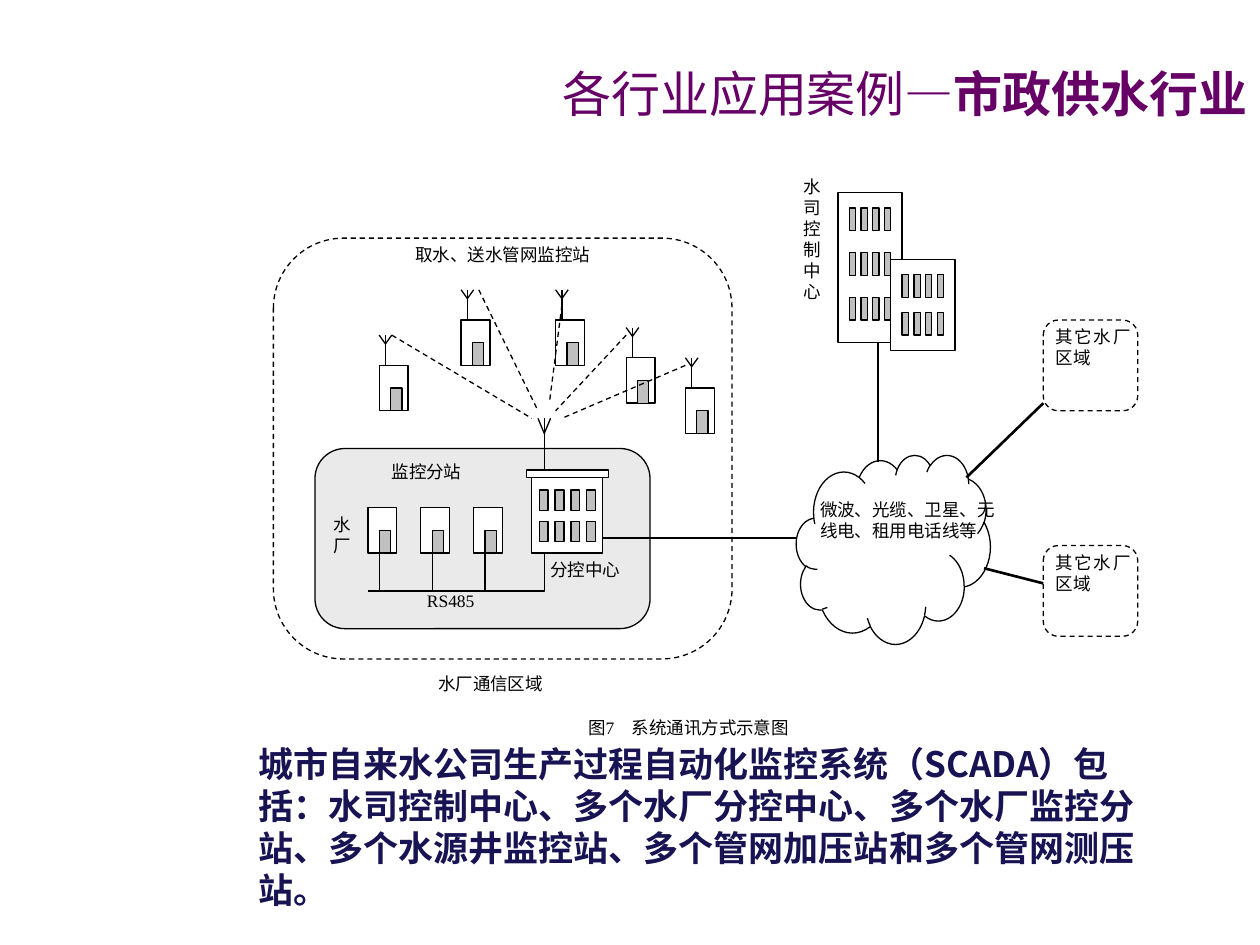
from dataclasses import dataclass
from itertools import product

from lxml.etree import SubElement
from pptx import Presentation
from pptx.dml.color import RGBColor
from pptx.enum.dml import MSO_LINE
from pptx.enum.shapes import MSO_CONNECTOR, MSO_SHAPE
from pptx.enum.text import MSO_ANCHOR, MSO_AUTO_SIZE, PP_ALIGN
from pptx.oxml.ns import qn
from pptx.util import Inches, Pt


@dataclass(frozen=True)
class Theme:
    title: str = "660066"
    body: str = "181353"
    ink: str = "000000"
    paper: str = "FFFFFF"
    zone: str = "EAEAEA"
    glass: str = "C0C0C0"
    head_font: str = "Karla"
    bold_font: str = "Noto Sans CJK SC"
    font: str = "Times New Roman"
    head_size: float = 28
    body_size: float = 20
    size: float = 10
    thin: float = 0.75
    thick: float = 1.5


THEME = Theme()


def write(para, text, font=THEME.font, size=THEME.size, color=THEME.ink,
          bold=False, align=None, pitch=None):
    """Add one run of text to a paragraph."""
    run = para.add_run()
    run.text = text
    run.font.size = Pt(size)
    run.font.bold = bold
    run.font.color.rgb = RGBColor.from_string(color)
    run.font.name = font
    if bold:
        SubElement(run.font._element, qn("a:ea")).set("typeface", font)
    if align is not None:
        para.alignment = align
    if pitch:
        para.line_spacing = Pt(pitch)


def label(slide, x, y, w, h, text, anchor=MSO_ANCHOR.TOP, **form):
    box = slide.shapes.add_textbox(Inches(x), Inches(y), Inches(w), Inches(h))
    frame = box.text_frame
    frame.word_wrap = True
    frame.vertical_anchor = anchor
    write(frame.paragraphs[0], text, **{"align": PP_ALIGN.JUSTIFY, **form})


def stroke(line, width=THEME.thin, dash=False):
    line.color.rgb = RGBColor.from_string(THEME.ink)
    line.width = Pt(width)
    if dash:
        line.dash_style = MSO_LINE.DASH


def block(slide, x, y, w, h, fill=THEME.paper, kind=MSO_SHAPE.RECTANGLE, dash=False):
    shape = slide.shapes.add_shape(kind, Inches(x), Inches(y), Inches(w), Inches(h))
    shape.shadow.inherit = False
    if fill:
        shape.fill.solid()
        shape.fill.fore_color.rgb = RGBColor.from_string(fill)
    else:
        shape.fill.background()
    stroke(shape.line, dash=dash)


def link(slide, x1, y1, x2, y2, **form):
    line = slide.shapes.add_connector(
        MSO_CONNECTOR.STRAIGHT, Inches(x1), Inches(y1), Inches(x2), Inches(y2))
    SubElement(line._element.spPr, qn("a:effectLst"))
    stroke(line.line, **form)


def trace(slide, *points):
    """Draw an open outline through the points."""
    start, *rest = [(Inches(x), Inches(y)) for x, y in points]
    pen = slide.shapes.build_freeform(*start)
    pen.add_line_segments(rest, close=False)
    shape = pen.convert_to_shape()
    shape.shadow.inherit = False
    shape.fill.background()
    stroke(shape.line)


def mast(slide, x, y, foot, fork):
    """Aerial centred on x, from its top y down to its foot."""
    link(slide, x, y, x, foot)
    trace(slide, (x - 0.05, y), (x, y + fork), (x + 0.05, y))


def panes(slide, x, y, rows, dx, dy, w, h):
    for row, col in product(range(rows), range(4)):
        block(slide, x + col * dx, y + row * dy, w, h, THEME.glass)


def house(slide, x, y):
    block(slide, x, y, 0.23, 0.36)
    block(slide, x + 0.09, y + 0.18, 0.09, 0.18, THEME.glass)


def tower(slide, x, y, w, h, rows, dy):
    block(slide, x, y, w, h)
    panes(slide, x + 0.09, y + 0.12, rows, 0.093, dy, 0.05, 0.18)


def plant(slide, x, y, w, h):
    """Waterworks: substations wired to the branch control centre."""
    block(slide, x, y, w, h, THEME.zone, MSO_SHAPE.ROUNDED_RECTANGLE)
    # Control centre
    left, top, base, bus = x + 1.72, y + 0.23, y + 0.83, y + 1.13
    block(slide, left, top, 0.56, 0.6)
    panes(slide, left + 0.06, top + 0.1, 2, 0.126, 0.25, 0.07, 0.16)
    block(slide, left - 0.04, top - 0.06, 0.65, 0.06)
    mast(slide, left + 0.1, y - 0.24, top - 0.06, 0.12)
    # Substations on the bus
    trace(slide, (left + 0.1, base), (left + 0.1, bus), (x + 0.42, bus))
    for i in range(3):
        spot = x + 0.42 + 0.42 * i
        house(slide, spot, y + 0.47)
        link(slide, spot + 0.09, base, spot + 0.09, bus)
    # Names
    label(slide, x + 0.79, y + 1.07, 0.75, 0.36, "RS485")
    label(slide, x + 0.05, y + 0.47, 0.37, 0.78, "水厂", align=PP_ALIGN.LEFT)
    label(slide, x + 0.51, y + 0.05, 1.03, 0.42, "监控分站")
    label(slide, x + 1.77, y + 0.83, 0.89, 0.36, "分控中心")


def region(slide, x, y, w, h):
    """Radio area of one waterworks with its pipe network stations."""
    plant(slide, x + 0.33, y + 1.67, 2.66, 1.43)
    for dx, dy in [(0.84, 1.01), (1.49, 0.65), (2.24, 0.65), (2.8, 0.95), (3.27, 1.19)]:
        house(slide, x + dx, y + dy)
        mast(slide, x + dx + 0.05, y + dy - 0.24, y + dy, 0.07)
    # Radio paths
    for x1, y1, x2, y2 in [(0.94, 0.77, 2.05, 1.43), (1.63, 0.41, 2.1, 1.37),
                           (2.29, 0.53, 2.19, 1.31), (2.8, 0.77, 2.24, 1.37),
                           (3.27, 1.01, 2.29, 1.43)]:
        link(slide, x + x1, y + y1, x + x2, y + y2, dash=True)
    block(slide, x, y, w, h, None, MSO_SHAPE.ROUNDED_RECTANGLE, dash=True)
    label(slide, x + 1.03, y, 1.96, 0.48, "取水、送水管网监控站")
    label(slide, x + 1.21, y + h + 0.06, 1.3, 0.42, "水厂通信区域")


def centre(slide, x, y):
    """Head office of the water company."""
    tower(slide, x, y, 0.51, 1.19, 3, 0.355)
    tower(slide, x + 0.42, y + 0.53, 0.51, 0.72, 2, 0.3)
    label(slide, x - 0.37, y - 0.18, 0.42, 1.79, "水司控制中心")


def cloud(slide, x, y, w, h):
    block(slide, x, y, w, h, kind=MSO_SHAPE.CLOUD)
    label(slide, x + 0.09, y + 0.3, 1.58, 1.01,
          "微波、光缆、卫星、无线电、租用电话线等", align=PP_ALIGN.LEFT)


def other(slide, x, y, w, h):
    block(slide, x, y, w, h, kind=MSO_SHAPE.ROUNDED_RECTANGLE, dash=True)
    label(slide, x, y, w + 0.04, h + 0.05, "其它水厂区域")


def heading(slide, x, y, w, h):
    title = slide.shapes.title
    title.left, title.top, title.width, title.height = map(Inches, (x, y, w, h))
    frame = title.text_frame
    frame.auto_size = MSO_AUTO_SIZE.NONE
    form = dict(size=THEME.head_size, color=THEME.title, align=PP_ALIGN.RIGHT)
    para = frame.paragraphs[0]
    write(para, "各行业应用案例—", font=THEME.head_font, **form)
    write(para, "市政供水行业", font=THEME.bold_font, bold=True, **form)


def main():
    deck = Presentation()
    deck.slide_width, deck.slide_height = Inches(10), Inches(7.5)
    slide = deck.slides.add_slide(deck.slide_layouts[5])
    heading(slide, 4.21, 0.44, 5.79, 0.59)

    # Diagram
    region(slide, 2.17, 1.89, 3.64, 3.34)
    centre(slide, 6.65, 1.53)
    cloud(slide, 6.32, 3.61, 1.54, 1.5)
    for y in (2.54, 4.33):
        other(slide, 8.28, y, 0.75, 0.72)

    # Trunk lines into the cloud
    for ends in [(4.78, 4.27, 6.32, 4.27), (8.28, 3.2, 7.67, 3.79),
                 (8.28, 4.63, 7.81, 4.51), (6.97, 2.72, 6.97, 3.67)]:
        link(slide, *ends, width=THEME.thick)

    # Caption and summary
    label(slide, 4.57, 5.64, 2.42, 0.48, "图7　系统通讯方式示意图")
    label(slide, 1.95, 6.01, 7.2, 1.1,
          "城市自来水公司生产过程自动化监控系统（SCADA）包括：水司控制中心、"
          "多个水厂分控中心、多个水厂监控分站、多个水源井监控站、"
          "多个管网加压站和多个管网测压站。",
          anchor=MSO_ANCHOR.MIDDLE, font=THEME.bold_font, size=THEME.body_size,
          color=THEME.body, bold=True, align=PP_ALIGN.LEFT, pitch=24)
    deck.save("out.pptx")


if __name__ == "__main__":
    main()
